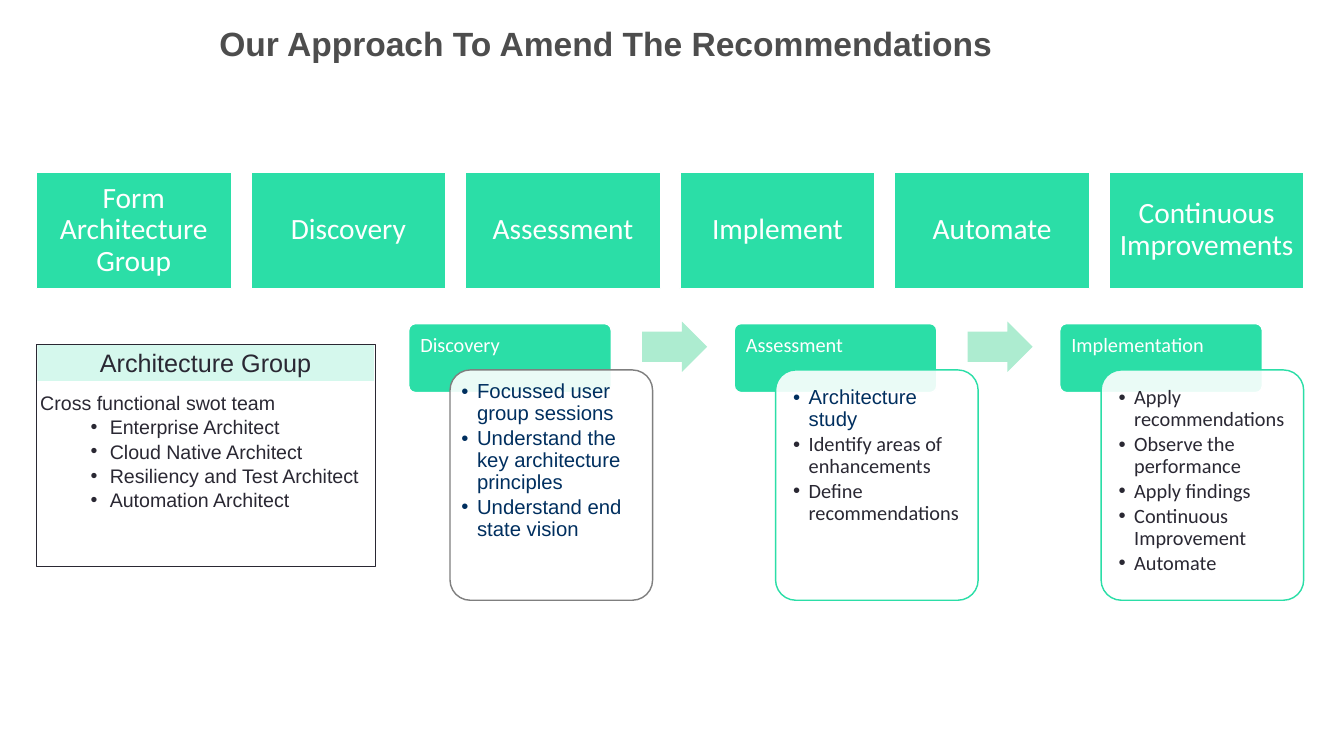
from lxml.etree import SubElement
from pptx import Presentation
from pptx.dml.color import RGBColor
from pptx.enum.shapes import MSO_SHAPE
from pptx.enum.text import MSO_ANCHOR, PP_ALIGN
from pptx.oxml.ns import qn
from pptx.util import Inches, Pt

# Content
HEADLINE = "Our Approach To Amend The Recommendations"
STAGES = ["Form Architecture Group", "Discovery", "Assessment",
          "Implement", "Automate", "Continuous Improvements"]
TEAM = {
    "name": "Architecture Group",
    "intro": "Cross functional swot team",
    "roles": ["Enterprise Architect", "Cloud Native Architect",
              "Resiliency and Test Architect", "Automation Architect"],
}
# Each phase: name, card border, card inset, and (style, bullet) pairs
PHASES = [
    ("Discovery", "gray", 0.11, [
        ("key_point", "Focussed user group sessions"),
        ("key_point", "Understand the key architecture principles"),
        ("key_point", "Understand end state vision")]),
    ("Assessment", "green", 0.23, [
        ("key_point", "Architecture study"),
        ("point", "Identify areas of enhancements"),
        ("point", "Define recommendations")]),
    ("Implementation", "green", 0.23, [
        ("point", "Apply recommendations"),
        ("point", "Observe the performance"),
        ("point", "Apply findings"),
        ("point", "Continuous Improvement"),
        ("point", "Automate")]),
]

# Theme: colours and type styles
THEME = {
    "colors": {"green": "2BDEA7", "mint": "D5F8ED", "arrow": "ADECD0",
               "white": "FFFFFF", "ink": "2A2833", "navy": "002F5F",
               "gray": "7F7F7F", "title": "4D4D4D"},
    "type": {
        "title": {"name": "Arial", "size": 48, "color": "title", "bold": True},
        "stage": {"name": "Calibri", "size": 42, "color": "white"},
        "team_name": {"name": "Arial", "size": 36, "color": "ink"},
        "team": {"name": "Arial", "size": 28, "color": "ink"},
        "phase": {"name": "Calibri", "size": 29, "color": "white"},
        "key_point": {"name": "Arial", "size": 29, "color": "navy"},
        "point": {"name": "Calibri", "size": 29, "color": "ink"},
    },
}

# Grid, in inches
SLIDE_W, SLIDE_H = 26.67, 15
LEFT, RIGHT = 0.72, 25.88
STAGE_W, STAGE_H, STAGE_TOP = 3.87, 2.32, 3.41
STAGE_PITCH = (RIGHT - LEFT - STAGE_W) / (len(STAGES) - 1)
PHASE_LEFT, PHASE_TOP, PHASE_PITCH = 8.11, 6.42, 6.46
PHASE_W, TAB_H, CARD_H = 4.02, 1.37, 4.57
CARD_DX, CARD_DY = 0.82, 0.92
ARROW_DX, ARROW_DY, ARROW_W, ARROW_H = 4.63, -0.04, 1.29, 1
TEAM_TOP, TEAM_W, TEAM_H, TEAM_HEAD_H = 6.83, 6.72, 4.4, 0.71

prs = Presentation()
prs.slide_width, prs.slide_height = Inches(SLIDE_W), Inches(SLIDE_H)
slide = prs.slides.add_slide(prs.slide_layouts[6])


def color(key):
    return RGBColor.from_string(THEME["colors"][key])


def add_box(kind, box, fill, line=None, line_pt=2, adjust=(), opacity=None):
    shape = slide.shapes.add_shape(kind, *map(Inches, box))
    shape.shadow.inherit = False
    shape.fill.solid()
    shape.fill.fore_color.rgb = color(fill)
    if opacity:
        solid = shape.fill._xPr.find(qn("a:solidFill"))
        SubElement(solid[0], qn("a:alpha"), val=str(opacity * 1000))
    if line:
        shape.line.color.rgb = color(line)
        shape.line.width = Pt(line_pt)
    else:
        shape.line.fill.background()
    for i, value in enumerate(adjust):
        shape.adjustments[i] = value
    return shape


def add_text_area(box):
    return slide.shapes.add_textbox(*map(Inches, box))


def write(shape, lines, inset=(0.1, 0.05), anchor=MSO_ANCHOR.TOP,
          bullet_indent=None, **paragraph_format):
    """Write (style, text) lines; bullet_indent is (margin, hanging) or None per line."""
    frame = shape.text_frame
    side, edge = map(Inches, inset)
    frame_format = {"word_wrap": True, "vertical_anchor": anchor,
                    "margin_left": side, "margin_right": side,
                    "margin_top": edge, "margin_bottom": edge}
    for name, value in frame_format.items():
        setattr(frame, name, value)
    for i, (style, text) in enumerate(lines):
        paragraph = frame.paragraphs[0] if i == 0 else frame.add_paragraph()
        for name, value in ({"alignment": PP_ALIGN.LEFT} | paragraph_format).items():
            setattr(paragraph, name, value)
        indent = bullet_indent(i) if bullet_indent else None
        if indent:
            paragraph.level = 1
            props = paragraph._p.get_or_add_pPr()
            props.set("marL", str(Inches(indent[0])))
            props.set("indent", str(-Inches(indent[1])))
            SubElement(props, qn("a:buFont"), typeface="Arial")
            SubElement(props, qn("a:buChar"), char="•")
        run = paragraph.add_run()
        run.text = text
        font_format = dict(THEME["type"][style])
        run.font.color.rgb = color(font_format.pop("color"))
        font_format["size"] = Pt(font_format["size"])
        for name, value in font_format.items():
            setattr(run.font, name, value)


# Architecture group panel
add_box(MSO_SHAPE.RECTANGLE, (LEFT, TEAM_TOP, TEAM_W, TEAM_H), "white", "ink", 0.75)
team_head = add_box(MSO_SHAPE.RECTANGLE,
                    (LEFT + 0.02, TEAM_TOP + 0.02, TEAM_W - 0.04, TEAM_HEAD_H), "mint")
write(team_head, [("team_name", TEAM["name"])], alignment=PP_ALIGN.CENTER)
team_list = add_text_area((0.7, 7.7, 7.49, 6.23))
write(team_list, [("team", text) for text in [TEAM["intro"], *TEAM["roles"]]],
      bullet_indent=lambda i: (1.38, 0.38) if i else None, space_after=Pt(1.3))

# Headline
write(add_text_area((0.26, 0.4, 23.53, 1.34)), [("title", HEADLINE)],
      alignment=PP_ALIGN.CENTER)

# Row of stages
for column, stage in enumerate(STAGES):
    stage_box = add_box(MSO_SHAPE.RECTANGLE,
                        (LEFT + column * STAGE_PITCH, STAGE_TOP, STAGE_W, STAGE_H),
                        "green", "white")
    write(stage_box, [("stage", stage)], (0.17, 0.17), MSO_ANCHOR.MIDDLE,
          alignment=PP_ALIGN.CENTER, line_spacing=0.9)

# Phases: tab, overlapping card, arrow to the next phase
for column, (phase, border, inset, points) in enumerate(PHASES):
    left = PHASE_LEFT + column * PHASE_PITCH
    tab = add_box(MSO_SHAPE.ROUNDED_RECTANGLE, (left, PHASE_TOP, PHASE_W, TAB_H),
                  "green", "white", adjust=[0.1])
    write(tab, [("phase", phase)], (0.19, 0.19), line_spacing=0.9)
    card = add_box(MSO_SHAPE.ROUNDED_RECTANGLE,
                   (left + CARD_DX, PHASE_TOP + CARD_DY, PHASE_W, CARD_H),
                   "white", border, adjust=[0.1], opacity=90)
    write(card, points, (inset, inset), bullet_indent=lambda i: (0.31, 0.31),
          line_spacing=0.9, space_after=Pt(4.35))
    if column < len(PHASES) - 1:
        add_box(MSO_SHAPE.RIGHT_ARROW,
                (left + ARROW_DX, PHASE_TOP + ARROW_DY, ARROW_W, ARROW_H),
                "arrow", adjust=[0.6, 0.5])

prs.save("out.pptx")
